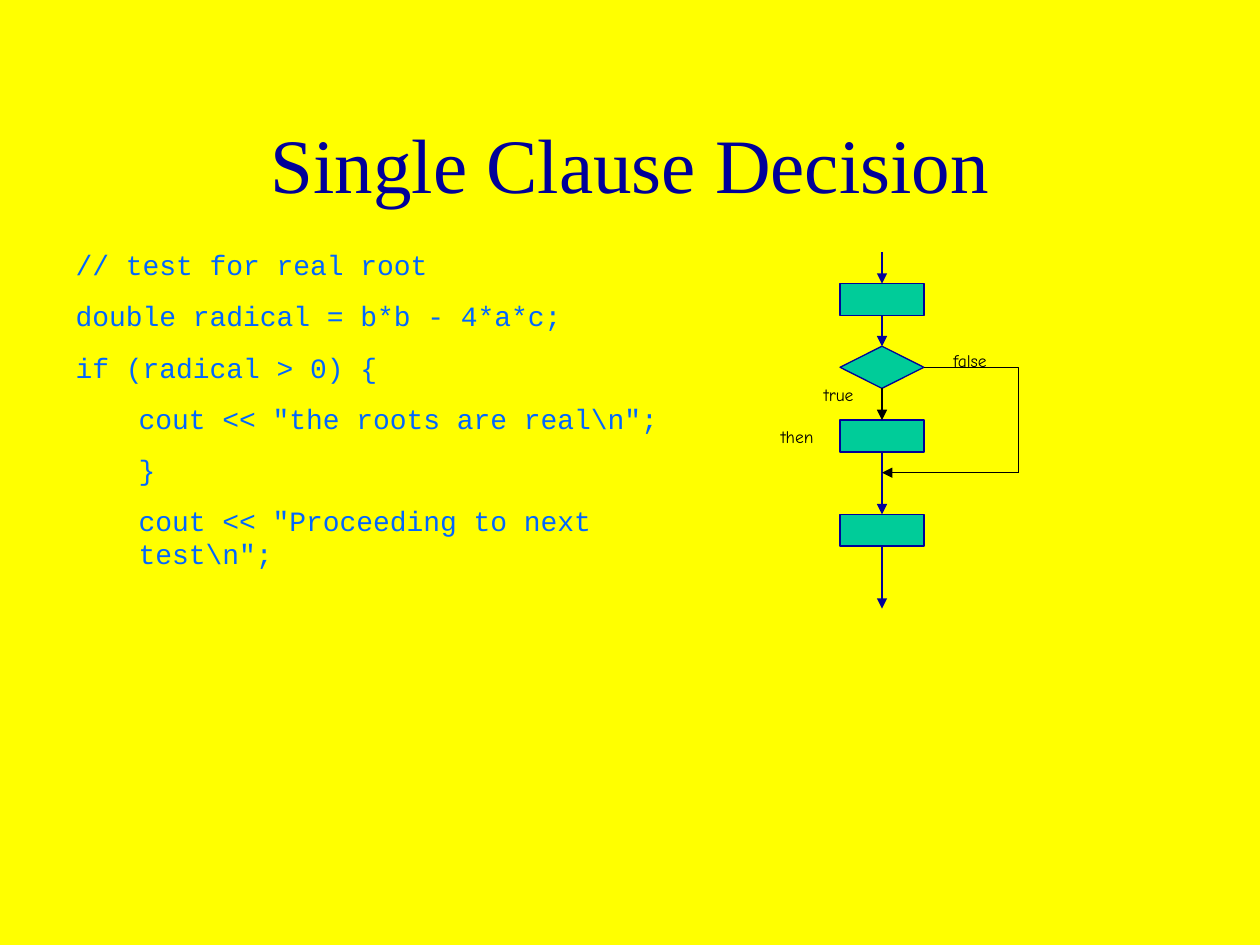
from pptx import Presentation
from pptx.dml.color import RGBColor
from pptx.enum.shapes import MSO_CONNECTOR as Link, MSO_SHAPE as Shape
from pptx.enum.text import MSO_ANCHOR as Anchor, MSO_AUTO_SIZE as AutoSize, PP_ALIGN as Align
from pptx.oxml.ns import qn
from pptx.oxml.xmlchemy import OxmlElement
from pptx.util import Cm, Pt

YELLOW = RGBColor(0xFF, 0xFF, 0x00)
NAVY = RGBColor(0x00, 0x00, 0x99)
GREEN = RGBColor(0x00, 0xCC, 0x99)
BLUE = RGBColor(0x00, 0x66, 0xFF)
BLACK = RGBColor(0x00, 0x00, 0x00)

AXIS = 17.78  # horizontal centre of the flowchart, in cm
NODE_WIDTH = 1.69
BLOCK_HEIGHT = 0.64
DECISION_TOP, DECISION_HEIGHT = 6.98, 0.85
BLOCK_TOPS = FIRST, THEN, LAST = 5.72, 8.47, 10.37
BYPASS_X, MERGE_Y = 20.53, 9.53

CODE = [  # (indent level, text)
    (0, "// test for real root"),
    (0, "double radical = b*b - 4*a*c;"),
    (0, "if (radical > 0) {"),
    (1, 'cout << "the roots are real\\n";'),
    (1, "}"),
    (1, 'cout << "Proceeding to next test\\n";'),
]
LABELS = [("true", 16.36, 7.62), ("false", 18.97, 6.93), ("then", 15.49, 8.47)]


class FlowSlide:
    line_width = Pt(0.75)
    title_font = "Times New Roman"
    code_font = "Courier New"
    label_font = "Comic Neue"

    def __init__(self, slide):
        self.slide = slide
        slide.background.fill.solid()
        slide.background.fill.fore_color.rgb = YELLOW

    @staticmethod
    def place(shape, left, top, width, height):
        shape.left, shape.top = Cm(left), Cm(top)
        shape.width, shape.height = Cm(width), Cm(height)

    @staticmethod
    def style(paragraph, font_name, size, color):
        for run in paragraph.runs:
            run.font.name = font_name
            run.font.size = Pt(size)
            run.font.color.rgb = color

    def title(self, text, *box):
        heading = self.slide.shapes.title
        self.place(heading, *box)
        frame = heading.text_frame
        frame.text = text
        frame.auto_size = AutoSize.NONE
        frame.vertical_anchor = Anchor.MIDDLE
        frame.paragraphs[0].alignment = Align.CENTER
        self.style(frame.paragraphs[0], self.title_font, 44, NAVY)

    def code(self, lines, *box):
        listing = self.slide.placeholders[1]
        self.place(listing, *box)
        frame = listing.text_frame
        frame.text = "\n".join(text for _, text in lines)
        frame.auto_size = AutoSize.NONE
        for paragraph, (level, _) in zip(frame.paragraphs, lines):
            paragraph.level = level
            paragraph.space_before = Pt(10)
            properties = paragraph._p.get_or_add_pPr()
            properties.set("marL", str(Cm(1.27 * level)))
            properties.set("indent", "0")
            properties.append(OxmlElement("a:buNone"))
            self.style(paragraph, self.code_font, 16, BLUE)

    def node(self, kind, top, height):
        """Add a flowchart symbol centred on the axis."""
        symbol = self.slide.shapes.add_shape(
            kind, Cm(AXIS - NODE_WIDTH / 2), Cm(top), Cm(NODE_WIDTH), Cm(height))
        symbol.shadow.inherit = False
        symbol.fill.solid()
        symbol.fill.fore_color.rgb = GREEN
        symbol.line.color.rgb = NAVY
        symbol.line.width = self.line_width

    def label(self, text, left, top):
        box = self.slide.shapes.add_textbox(Cm(left), Cm(top), Cm(1.3), Cm(0.69))
        frame = box.text_frame
        frame.text = text
        frame.word_wrap = False
        frame.auto_size = AutoSize.NONE
        self.style(frame.paragraphs[0], self.label_font, 10, BLACK)
        frame.paragraphs[0].alignment = Align.LEFT

    def link(self, start, end, color, kind=Link.STRAIGHT, arrow=True):
        connector = self.slide.shapes.add_connector(
            kind, *(Cm(value) for value in (*start, *end)))
        connector.line.color.rgb = color
        connector.line.width = self.line_width
        properties = connector._element.spPr
        if kind == Link.ELBOW:  # a single bend
            properties.find(qn("a:prstGeom")).set("prst", "bentConnector2")
        if arrow:
            head = OxmlElement("a:tailEnd")
            head.set("type", "triangle")
            connector.line._get_or_add_ln().append(head)
        properties.append(OxmlElement("a:effectLst"))


def main():
    deck = Presentation()
    deck.slide_width, deck.slide_height = Cm(25.4), Cm(19.05)
    page = FlowSlide(deck.slides.add_slide(deck.slide_layouts[1]))

    page.title("Single Clause Decision", 1.91, 1.69, 21.59, 3.17)
    page.code(CODE, 1.27, 4.87, 13.34, 6.8)

    for top in BLOCK_TOPS:
        page.node(Shape.FLOWCHART_PROCESS, top, BLOCK_HEIGHT)
    page.node(Shape.FLOWCHART_DECISION, DECISION_TOP, DECISION_HEIGHT)

    decision_bottom = DECISION_TOP + DECISION_HEIGHT
    for start, end, color in [
        (5.08, FIRST, NAVY),
        (FIRST + BLOCK_HEIGHT, DECISION_TOP, NAVY),
        (decision_bottom, THEN, BLACK),
        (THEN + BLOCK_HEIGHT, LAST, NAVY),
        (LAST + BLOCK_HEIGHT, 12.27, NAVY),
    ]:
        page.link((AXIS, start), (AXIS, end), color)

    decision_right = (AXIS + NODE_WIDTH / 2, DECISION_TOP + DECISION_HEIGHT / 2)
    bypass_end = (BYPASS_X, MERGE_Y)
    page.link(decision_right, bypass_end, BLACK, Link.ELBOW, arrow=False)
    page.link(bypass_end, (AXIS, MERGE_Y), BLACK)

    for text, left, top in LABELS:
        page.label(text, left, top)

    deck.save("out.pptx")


if __name__ == "__main__":
    main()
